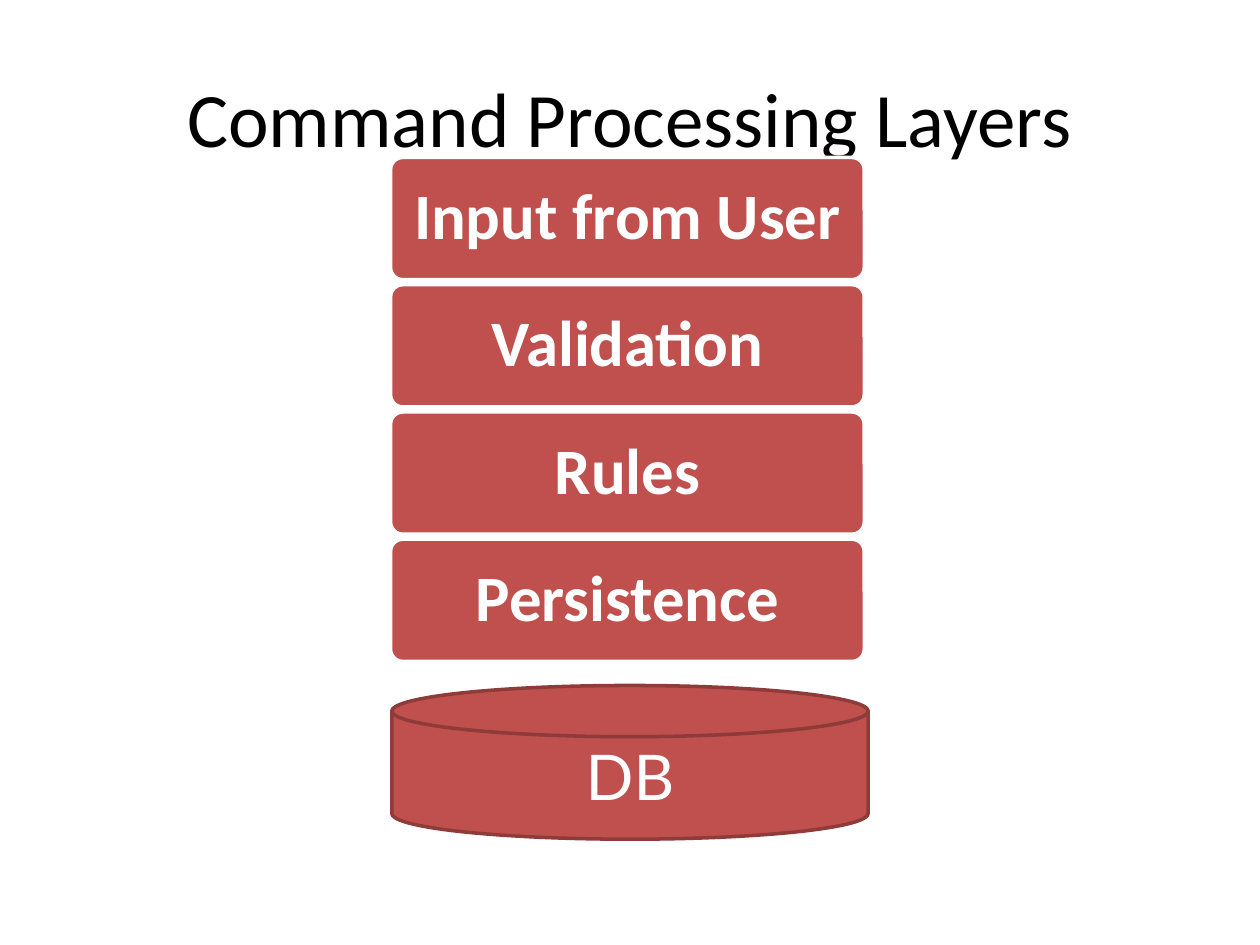
from pptx import Presentation
from pptx.dml.color import RGBColor
from pptx.enum.shapes import MSO_SHAPE
from pptx.enum.text import MSO_ANCHOR, PP_ALIGN
from pptx.util import Inches, Pt

ROUND = MSO_SHAPE.ROUNDED_RECTANGLE
DISK = MSO_SHAPE.FLOWCHART_MAGNETIC_DISK
MIDDLE = MSO_ANCHOR.MIDDLE
CENTER = PP_ALIGN.CENTER

COLORS = {"black": "000000", "white": "FFFFFF", "red": "C0504D", "edge": "8E3B39"}
LAYERS = ["Input from User", "Validation", "Rules", "Persistence"]
LEFT, TOP, WIDTH, HEIGHT, STEP = 3.1, 1.25, 3.76, 0.97, 1.01


def color(name):
    return RGBColor.from_string(COLORS[name])


def write(shape, text, size, face, ink, bold=False):
    frame = shape.text_frame
    frame.text = text
    frame.word_wrap = True
    frame.vertical_anchor = MIDDLE
    para = frame.paragraphs[0]
    para.alignment = CENTER
    font = para.runs[0].font
    font.size = Pt(size)
    font.name = face
    font.bold = bold
    font.color.rgb = color(ink)


def add_title(slide, text):
    title = slide.shapes.title
    title.left, title.top = Inches(0.5), Inches(0.3)
    title.width, title.height = Inches(9), Inches(1.25)
    write(title, text, 44, "Calibri", "black")


def add_block(slide, kind, left, top, width, height, edge):
    shape = slide.shapes.add_shape(
        kind, Inches(left), Inches(top), Inches(width), Inches(height)
    )
    shape.shadow.inherit = False
    shape.fill.solid()
    shape.fill.fore_color.rgb = color("red")
    shape.line.color.rgb = color(edge)
    shape.line.width = Pt(2)
    return shape


def add_layer(slide, text, top):
    layer = add_block(slide, ROUND, LEFT, top, WIDTH, HEIGHT, "white")
    layer.adjustments[0] = 0.1
    write(layer, text, 37, "Calibri", "white", True)
    layer.text_frame.paragraphs[0].line_spacing = 0.9


def add_store(slide, text):
    store = add_block(slide, DISK, 3.11, 5.44, 3.78, 1.22, "edge")
    write(store, text, 36, "Lato", "white")


def main():
    deck = Presentation()
    deck.slide_width, deck.slide_height = Inches(10), Inches(7.5)
    slide = deck.slides.add_slide(deck.slide_layouts[5])
    add_title(slide, "Command Processing Layers")
    for row, text in enumerate(LAYERS):
        add_layer(slide, text, TOP + row * STEP)
    add_store(slide, "DB")
    deck.save("out.pptx")


if __name__ == "__main__":
    main()
